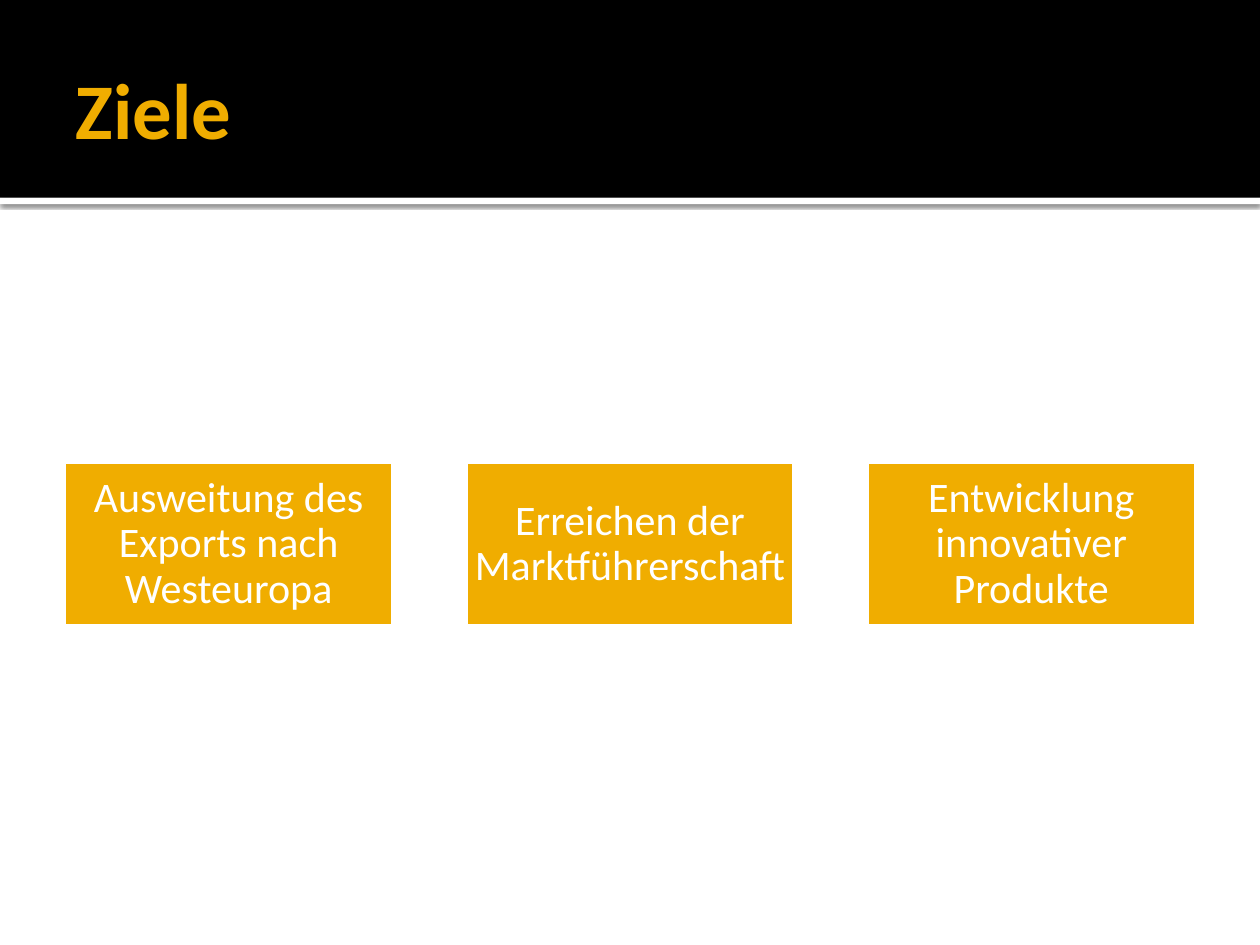
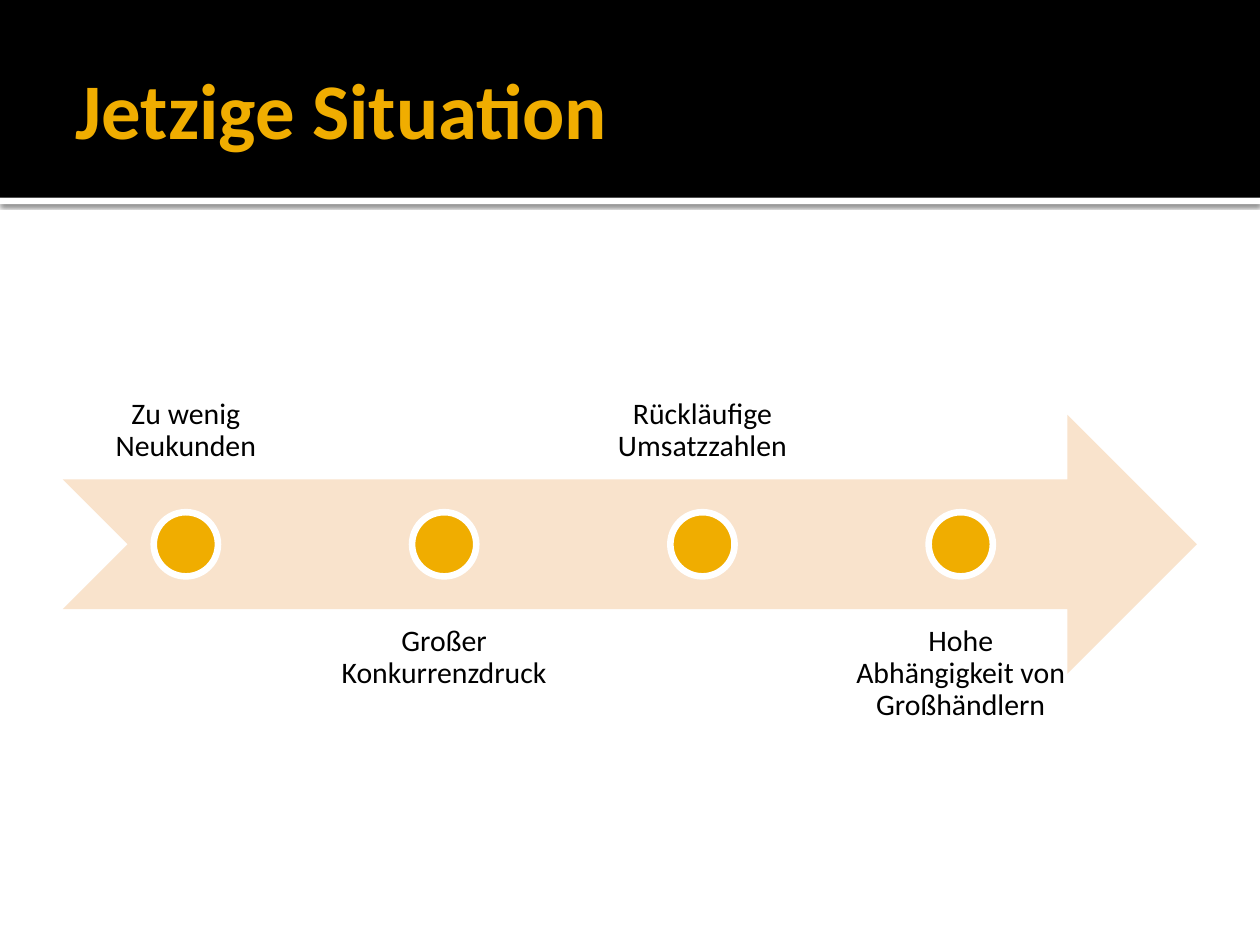
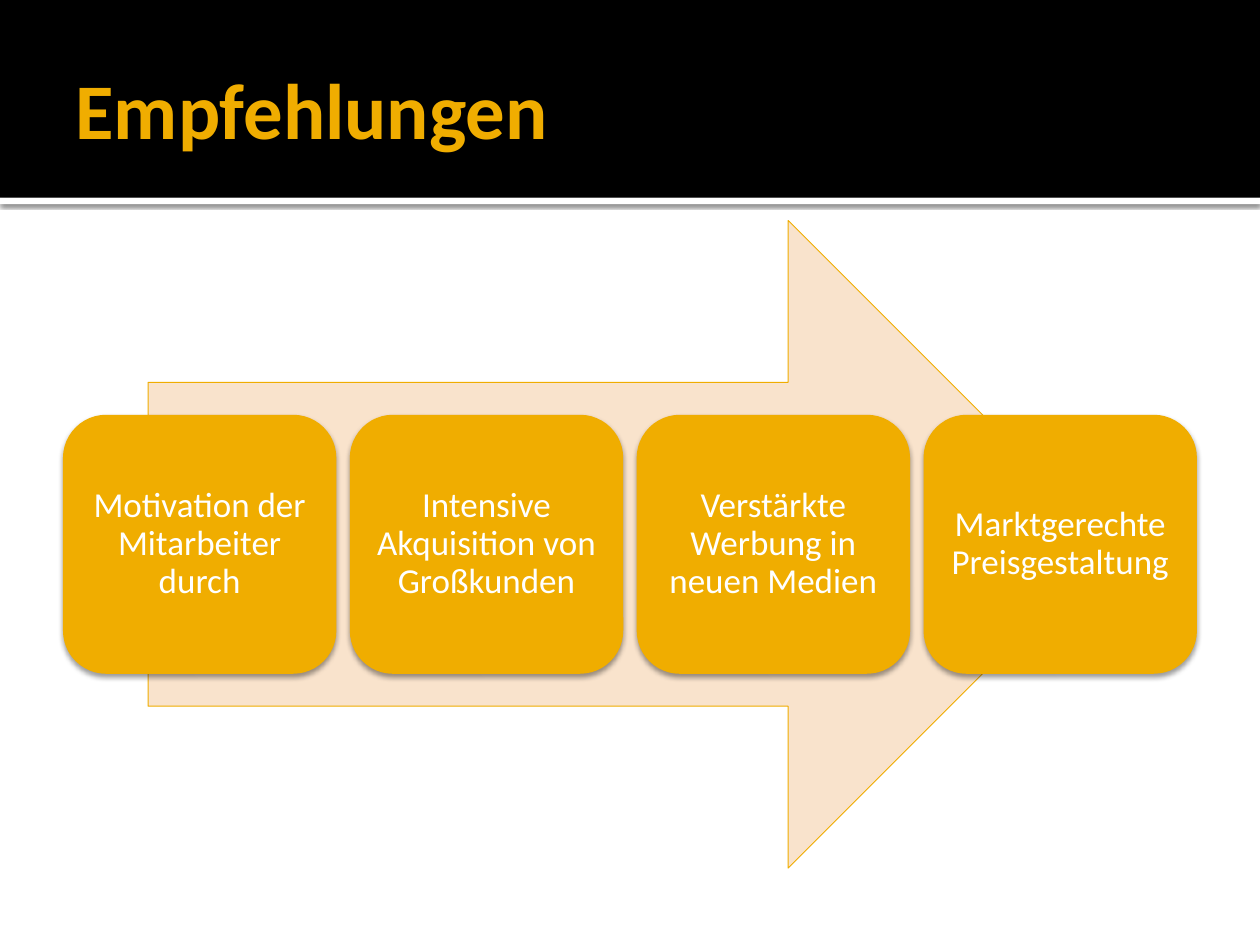
from dataclasses import dataclass
from typing import Any

from lxml.etree import SubElement
from pptx import Presentation
from pptx.dml.color import RGBColor
from pptx.enum.shapes import MSO_SHAPE as Preset
from pptx.enum.text import MSO_ANCHOR as Anchor, MSO_AUTO_SIZE as AutoSize, PP_ALIGN as Align
from pptx.oxml.ns import qn
from pptx.util import Inches, Pt

GOLD, SAND, BLACK, WHITE = "F0AD00", "F9E3CC", "000000", "FFFFFF"
FONT = "Calibri"
PAGE_WIDTH, PAGE_HEIGHT = 10, 7.5
BAND_HEIGHT, RULE_HEIGHT = 1.57, 0.05


@dataclass(frozen=True)
class Area:
    left: float
    top: float
    width: float
    height: float

    def share(self, left: float, top: float, width: float, height: float) -> "Area":
        """Return the area at the given shares of this one."""
        return Area(self.left + left * self.width, self.top + top * self.height,
                    width * self.width, height * self.height)

    def columns(self, count: int, width: float, gap: float) -> list["Area"]:
        return [self.share(index * (width + gap), 0, width, 1) for index in range(count)]

    def centred(self, width: float, height: float) -> "Area":
        return Area(self.left + (self.width - width) / 2,
                    self.top + (self.height - height) / 2, width, height)

    def lengths(self) -> list[int]:
        return [Inches(value) for value in (self.left, self.top, self.width, self.height)]


@dataclass(frozen=True)
class Shadow:
    opacity: int
    blur: float
    distance: float


@dataclass(frozen=True)
class Look:
    fill: str
    line: str | None = None
    weight: float = 0
    shadow: Shadow | None = None


@dataclass(frozen=True)
class TextStyle:
    size: float
    color: str
    inset: float
    anchor: Any = Anchor.MIDDLE


BODY = Area(0.5, 1.75, 9, 5.14)
MIDDLE_ROW = BODY.share(0, 0.3, 1, 0.4)
TITLE_AREA = Area(0.5, 0.17, 9, 1.37)

BLOCK = Look(GOLD, WHITE, 3.78)
CARD = Look(GOLD, shadow=Shadow(38, 3.1, 2))
RULE = Look(WHITE, shadow=Shadow(60, 2.5, 0.8))

GOALS = ["Ausweitung des Exports nach Westeuropa", "Erreichen der Marktführerschaft",
         "Entwicklung innovativer Produkte"]
SITUATION = ["Zu wenig Neukunden", "Großer Konkurrenzdruck",
             "Rückläufige Umsatzzahlen", "Hohe Abhängigkeit von Großhändlern"]
ADVICE = ["Motivation der Mitarbeiter durch", "Intensive Akquisition von Großkunden",
          "Verstärkte Werbung in neuen Medien", "Marktgerechte Preisgestaltung"]


def rgb(color: str) -> RGBColor:
    return RGBColor.from_string(color)


def apply(target: Any, values: dict[str, Any]) -> None:
    for name, value in values.items():
        setattr(target, name, value)


def cast_shadow(shape: Any, shadow: Shadow) -> None:
    effects = shape._element.spPr.find(qn("a:effectLst"))
    outer = SubElement(effects, qn("a:outerShdw"), blurRad=str(Pt(shadow.blur)),
                       dist=str(Pt(shadow.distance)), dir="5400000", rotWithShape="0")
    color = SubElement(outer, qn("a:srgbClr"), val=BLACK)
    SubElement(color, qn("a:alpha"), val=str(shadow.opacity * 1000))


def draw(page: Any, preset: Any, area: Area, look: Look) -> Any:
    shape = page.shapes.add_shape(preset, *area.lengths())
    shape.shadow.inherit = False
    shape.fill.solid()
    shape.fill.fore_color.rgb = rgb(look.fill)
    if look.line:
        shape.line.color.rgb = rgb(look.line)
        shape.line.width = Pt(look.weight)
    else:
        shape.line.fill.background()
    if look.shadow:
        cast_shadow(shape, look.shadow)
    return shape


def write(box: Any, text: str, style: TextStyle) -> None:
    frame = box.text_frame
    inset = Inches(style.inset)
    apply(frame, {"word_wrap": True, "vertical_anchor": style.anchor,
                  "margin_left": inset, "margin_right": inset,
                  "margin_top": inset, "margin_bottom": inset})
    para = frame.paragraphs[0]
    apply(para, {"text": text, "alignment": Align.CENTER, "line_spacing": 0.9})
    apply(para.font, {"name": FONT, "size": Pt(style.size)})
    para.font.color.rgb = rgb(style.color)


def add_page(deck: Any, layout: Any, heading: str) -> Any:
    page = deck.slides.add_slide(layout)
    title = page.shapes.title
    apply(title, dict(zip(("left", "top", "width", "height"), TITLE_AREA.lengths())))
    apply(title.text_frame, {"auto_size": AutoSize.NONE, "word_wrap": True,
                             "vertical_anchor": Anchor.MIDDLE,
                             "margin_left": Inches(0.1), "margin_right": Inches(0.05),
                             "margin_top": Inches(0.05), "margin_bottom": Inches(0.05)})
    para = title.text_frame.paragraphs[0]
    apply(para, {"text": heading, "alignment": Align.LEFT})
    apply(para.font, {"name": FONT, "size": Pt(45), "bold": True})
    para.font.color.rgb = rgb(GOLD)
    return page


def move_header_to_layout(page: Any, layout: Any) -> None:
    """Draw the header band and its rule once, behind everything on the layout."""
    band = draw(page, Preset.RECTANGLE, Area(0, 0, PAGE_WIDTH, BAND_HEIGHT), Look(BLACK))
    rule = draw(page, Preset.RECTANGLE, Area(0, BAND_HEIGHT, PAGE_WIDTH, RULE_HEIGHT), RULE)
    for shape in (band, rule):
        layout.shapes._spTree.insert(2, shape._element)


def fill_goals(page: Any) -> None:
    style = TextStyle(24, WHITE, 0.02)
    for column, goal in zip(BODY.columns(3, 2.63 / 9, 0.555 / 9), GOALS):
        block = draw(page, Preset.RECTANGLE, column.centred(column.width, 1.32), BLOCK)
        write(block, goal, style)


def fill_situation(page: Any) -> None:
    draw(page, Preset.NOTCHED_RIGHT_ARROW, MIDDLE_ROW, Look(SAND))
    for index, (column, label) in enumerate(zip(BODY.columns(4, 1.95 / 9, 0.1 / 9), SITUATION)):
        above = index % 2 == 0
        place = column.share(0, 0 if above else 0.6, 1, 0.4)
        box = page.shapes.add_textbox(*place.lengths())
        write(box, label, TextStyle(17, BLACK, 0.13, Anchor.BOTTOM if above else Anchor.TOP))
        draw(page, Preset.OVAL, column.centred(0.51, 0.51), BLOCK)


def fill_advice(page: Any) -> None:
    draw(page, Preset.RIGHT_ARROW, BODY.centred(0.85 * BODY.width, BODY.height),
         Look(SAND, GOLD, 0.5))
    style = TextStyle(20, WHITE, 0.08)
    for place, advice in zip(MIDDLE_ROW.columns(4, 2.17 / 9, 0.32 / 3 / 9), ADVICE):
        write(draw(page, Preset.ROUNDED_RECTANGLE, place, CARD), advice, style)


def main() -> None:
    deck = Presentation()
    apply(deck, {"slide_width": Inches(PAGE_WIDTH), "slide_height": Inches(PAGE_HEIGHT)})
    layout = deck.slide_layouts.get_by_name("Title Only")
    goals, situation, advice = (add_page(deck, layout, heading) for heading in
                                ("Ziele", "Jetzige Situation", "Empfehlungen"))
    move_header_to_layout(goals, layout)
    fill_goals(goals)
    fill_situation(situation)
    fill_advice(advice)
    deck.save("out.pptx")


if __name__ == "__main__":
    main()
